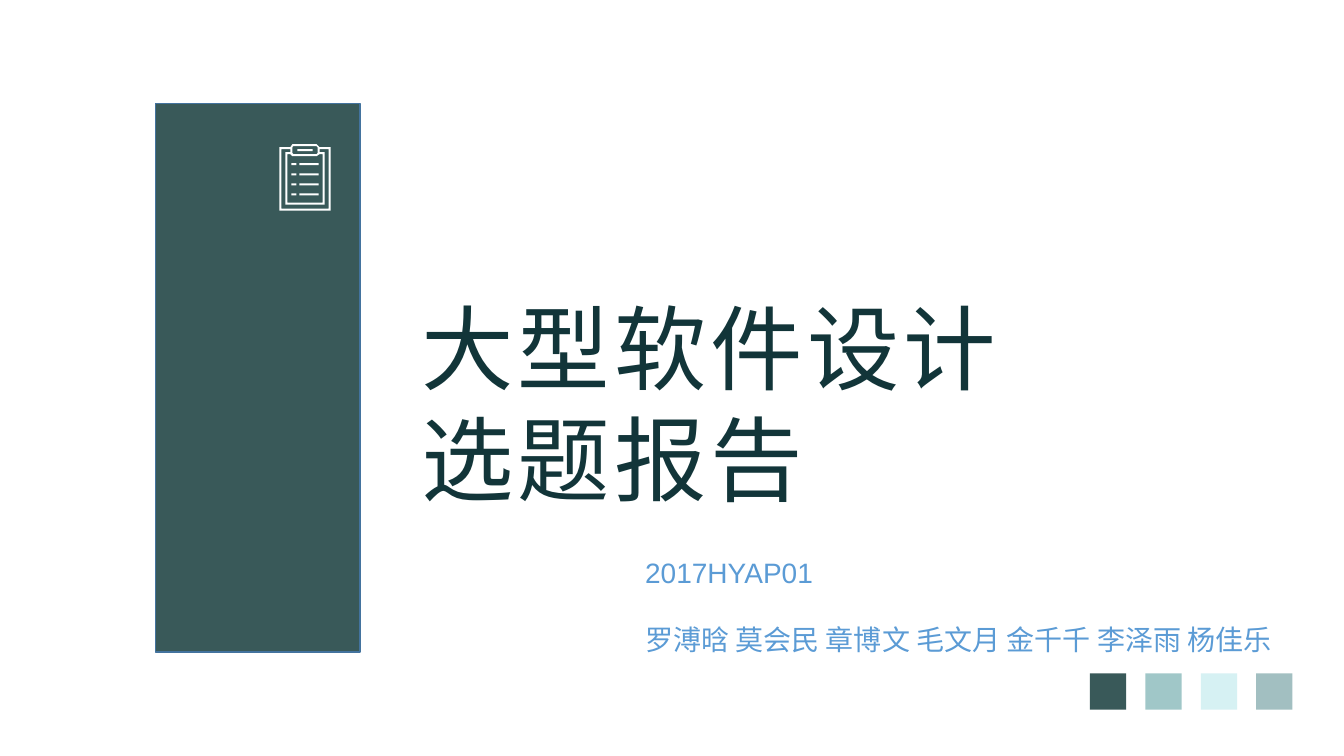
from pptx import Presentation
from pptx.dml.color import RGBColor
from pptx.enum.shapes import MSO_SHAPE
from pptx.enum.text import MSO_ANCHOR, MSO_AUTO_SIZE, PP_ALIGN
from pptx.util import Pt

PX = 9144  # EMU per px, 100 px to the inch
TITLE_ONLY = 5
DARK_TEAL = "395959"
SWATCHES = [DARK_TEAL, "A0C7C8", "D6F1F3", "A2BFC1"]


def px(*lengths):
    return [length * PX for length in lengths]


def color(hex_string):
    return RGBColor.from_string(hex_string)


def finish(shape, fill, line=None):
    shape.shadow.inherit = False
    shape.fill.solid()
    shape.fill.fore_color.rgb = color(fill)
    if line:
        shape.line.color.rgb = color(line)
        shape.line.width = Pt(1)
    else:
        shape.line.fill.background()


def add_rectangle(slide, left, top, width, height, fill, line=None):
    shape = slide.shapes.add_shape(MSO_SHAPE.RECTANGLE, *px(left, top, width, height))
    finish(shape, fill, line)


def write_lines(text_frame, lines, font_name, size, font_color, line_spacing=1.0, tracking=0):
    """Fill the frame with one left-aligned paragraph per line; tracking is in points."""
    text_frame.text = "\n".join(lines)
    text_frame.word_wrap = True
    text_frame.auto_size = MSO_AUTO_SIZE.NONE
    for paragraph in text_frame.paragraphs:
        paragraph.alignment = PP_ALIGN.LEFT
        paragraph.line_spacing = line_spacing
        for run in paragraph.runs:
            run.font.name = font_name
            run.font.size = Pt(size)
            run.font.color.rgb = color(font_color)
            if tracking:
                run.font._element.set("spc", str(tracking * 100))


def box(left, top, right, bottom):
    return [(left, top), (right, top), (right, bottom), (left, bottom)]


def cut_box(left, top, right, bottom, cut):
    """Rectangle with its four corners cut off."""
    return [(left + cut, top), (right - cut, top), (right, top + cut),
            (right, bottom - cut), (right - cut, bottom), (left + cut, bottom),
            (left, bottom - cut), (left, top + cut)]


def add_clipboard(slide):
    silhouette = [(290, 143), (314, 143), (317, 146), (328, 146),
                  (328, 209), (277, 209), (277, 146), (288, 146)]
    frame_gap = [(279, 148), (288, 148), (288, 151), (283, 151), (283, 203),
                 (322, 203), (322, 151), (317, 151), (317, 148), (326, 148),
                 (326, 207), (279, 207)]
    paper = [(285, 153), (288, 153), (290, 155), (314, 155),
             (317, 153), (320, 153), (320, 201), (285, 201)]
    contours = [silhouette, frame_gap, paper,
                cut_box(290, 145, 315, 153, 1), box(295, 148, 310, 150)]
    for top in range(162, 202, 10):
        contours += [box(289, top, 294, top + 2), box(297, top, 316, top + 2)]

    builder = slide.shapes.build_freeform(*contours[0][0], scale=PX)
    for index, contour in enumerate(contours):
        if index:
            builder.move_to(*contour[0])
        builder.add_line_segments(contour[1:], close=True)
    finish(builder.convert_to_shape(), "FFFFFF")


def add_title(slide):
    title = slide.shapes.title
    title.left, title.top, title.width, title.height = px(408, 283, 783, 232)
    title.text_frame.vertical_anchor = MSO_ANCHOR.MIDDLE
    write_lines(title.text_frame, ["大型软件设计", "选题报告"],
                "Noto Sans CJK SC", 66, "123539", tracking=3)


def add_team(slide):
    team = slide.shapes.add_textbox(*px(630, 513, 703, 135))
    write_lines(team.text_frame,
                ["2017HYAP01", "罗溥晗 莫会民 章博文 毛文月 金千千 李泽雨 杨佳乐"],
                "Arial", 20, "5B9BD5", line_spacing=2.0)


def main():
    presentation = Presentation()
    presentation.slide_width, presentation.slide_height = px(1333, 750)
    slide = presentation.slides.add_slide(presentation.slide_layouts[TITLE_ONLY])
    add_team(slide)
    add_title(slide)
    add_rectangle(slide, 154, 103, 203, 544, DARK_TEAL, line="43739E")
    for index, fill in enumerate(SWATCHES):
        add_rectangle(slide, 1081 + 55 * index, 668, 36, 36, fill)
    add_clipboard(slide)
    presentation.save("out.pptx")


if __name__ == "__main__":
    main()
